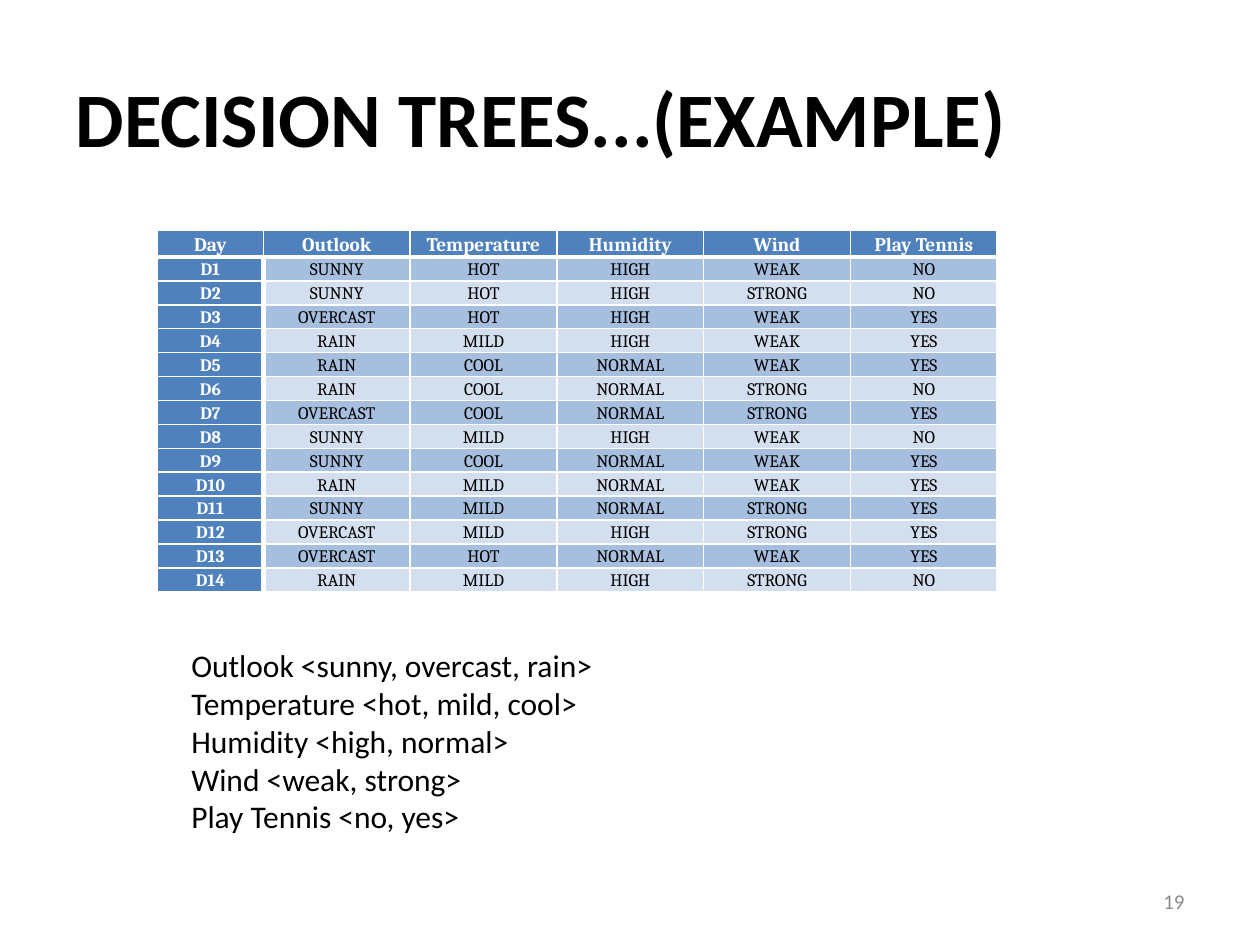
import lxml.etree
import pptx
import pptx.dml.color
import pptx.enum.text
import pptx.oxml.ns
import pptx.util

Inches = pptx.util.Inches
Pt = pptx.util.Pt
ALIGN = pptx.enum.text.PP_ALIGN
MIDDLE = pptx.enum.text.MSO_ANCHOR.MIDDLE

COLORS = {
    "text": "000000",
    "white": "FFFFFF",
    "header": "4F81BD",
    "odd_row": "A7BFDE",
    "even_row": "D3DFEE",
    "page_number": "8C8C8C",
}

ATTRIBUTES = ["Day", "Outlook", "Temperature", "Humidity", "Wind", "Play Tennis"]
OBSERVATIONS = """
SUNNY HOT HIGH WEAK NO
SUNNY HOT HIGH STRONG NO
OVERCAST HOT HIGH WEAK YES
RAIN MILD HIGH WEAK YES
RAIN COOL NORMAL WEAK YES
RAIN COOL NORMAL STRONG NO
OVERCAST COOL NORMAL STRONG YES
SUNNY MILD HIGH WEAK NO
SUNNY COOL NORMAL WEAK YES
RAIN MILD NORMAL WEAK YES
SUNNY MILD NORMAL STRONG YES
OVERCAST MILD HIGH STRONG YES
OVERCAST HOT NORMAL WEAK YES
RAIN MILD HIGH STRONG NO
""".strip().splitlines()
VALUE_RANGES = [
    "Outlook <sunny, overcast, rain>",
    "Temperature <hot, mild, cool>",
    "Humidity <high, normal>",
    "Wind <weak, strong>",
    "Play Tennis <no, yes>",
]


class SlideBuilder:
    body_font = "Calibri"
    table_font = "Cambria"

    def __init__(self, presentation):
        self.slide = presentation.slides.add_slide(presentation.slide_layouts[5])

    def format(self, paragraph, size, color="text", bold=False, align=ALIGN.LEFT, font=body_font):
        paragraph.alignment = align
        paragraph.font.name = font
        paragraph.font.size = Pt(size)
        paragraph.font.bold = bold
        paragraph.font.color.rgb = pptx.dml.color.RGBColor.from_string(COLORS[color])

    def title(self, text, left, top, width, height):
        title = self.slide.shapes.title
        title.left, title.top = Inches(left), Inches(top)
        title.width, title.height = Inches(width), Inches(height)
        title.text_frame.text = text
        title.text_frame.vertical_anchor = MIDDLE
        self.format(title.text_frame.paragraphs[0], 44, bold=True)

    def text(self, lines, left, top, width, height, size, anchor=None, **style):
        box = self.slide.shapes.add_textbox(
            Inches(left), Inches(top), Inches(width), Inches(height))
        frame = box.text_frame
        frame.word_wrap = True
        frame.vertical_anchor = anchor
        frame.text = "\n".join(lines)
        for paragraph in frame.paragraphs:
            self.format(paragraph, size, **style)

    def borders(self, cell, widths):
        """Draw white cell borders; widths are points for left, right, top, bottom."""
        properties = cell._tc.get_or_add_tcPr()
        for side, width in zip("LRTB", widths):
            line = lxml.etree.SubElement(
                properties, pptx.oxml.ns.qn(f"a:ln{side}"), w=str(Pt(width)))
            fill = lxml.etree.SubElement(line, pptx.oxml.ns.qn("a:solidFill"))
            lxml.etree.SubElement(
                fill, pptx.oxml.ns.qn("a:srgbClr"), val=COLORS["white"])

    def cell(self, cell, text, row, column):
        is_heading = row == 0 or column == 0
        cell.margin_left = cell.margin_right = Inches(0.07)
        cell.margin_top = cell.margin_bottom = 0
        cell.text = text
        paragraph = cell.text_frame.paragraphs[0]
        paragraph.line_spacing = 1.15
        self.format(paragraph, 11 if row == 0 else 10,
                    color="white" if is_heading else "text",
                    bold=is_heading, align=ALIGN.CENTER, font=self.table_font)
        self.borders(cell, (
            3 if row and column == 1 else 1,
            3 if row and column == 0 else 1,
            3 if row == 1 else 1,
            3 if row == 0 else 1,
        ))
        band = "header" if is_heading else "odd_row" if row % 2 else "even_row"
        cell.fill.solid()
        cell.fill.fore_color.rgb = pptx.dml.color.RGBColor.from_string(COLORS[band])

    def table(self, rows, left, top, column_widths, row_heights):
        table = self.slide.shapes.add_table(
            len(rows), len(column_widths), Inches(left), Inches(top),
            Inches(sum(column_widths)), Inches(sum(row_heights))).table
        table.first_col = True
        for column, width in zip(table.columns, column_widths):
            column.width = Inches(width)
        for row, height in zip(table.rows, row_heights):
            row.height = Inches(height)
        for r, values in enumerate(rows):
            for c, value in enumerate(values):
                self.cell(table.cell(r, c), value, r, c)


def main():
    presentation = pptx.Presentation()
    presentation.slide_width, presentation.slide_height = Inches(10), Inches(7.5)
    builder = SlideBuilder(presentation)

    builder.title("DECISION TREES...(EXAMPLE)", 0.5, 0.3, 9, 1.25)
    days = [[f"D{day}", *values.split()] for day, values in enumerate(OBSERVATIONS, 1)]
    builder.table([ATTRIBUTES, *days], 1.25, 1.83,
                  [0.84] + [1.165] * 5, [0.21] + [0.19] * len(days))
    builder.text(VALUE_RANGES, 1.42, 5.08, 3.67, 1.92, 18, align=ALIGN.JUSTIFY)
    builder.text(["19"], 7.17, 6.95, 2.33, 0.4, 12, anchor=MIDDLE,
                 color="page_number", align=ALIGN.RIGHT)

    presentation.save("out.pptx")


if __name__ == "__main__":
    main()
